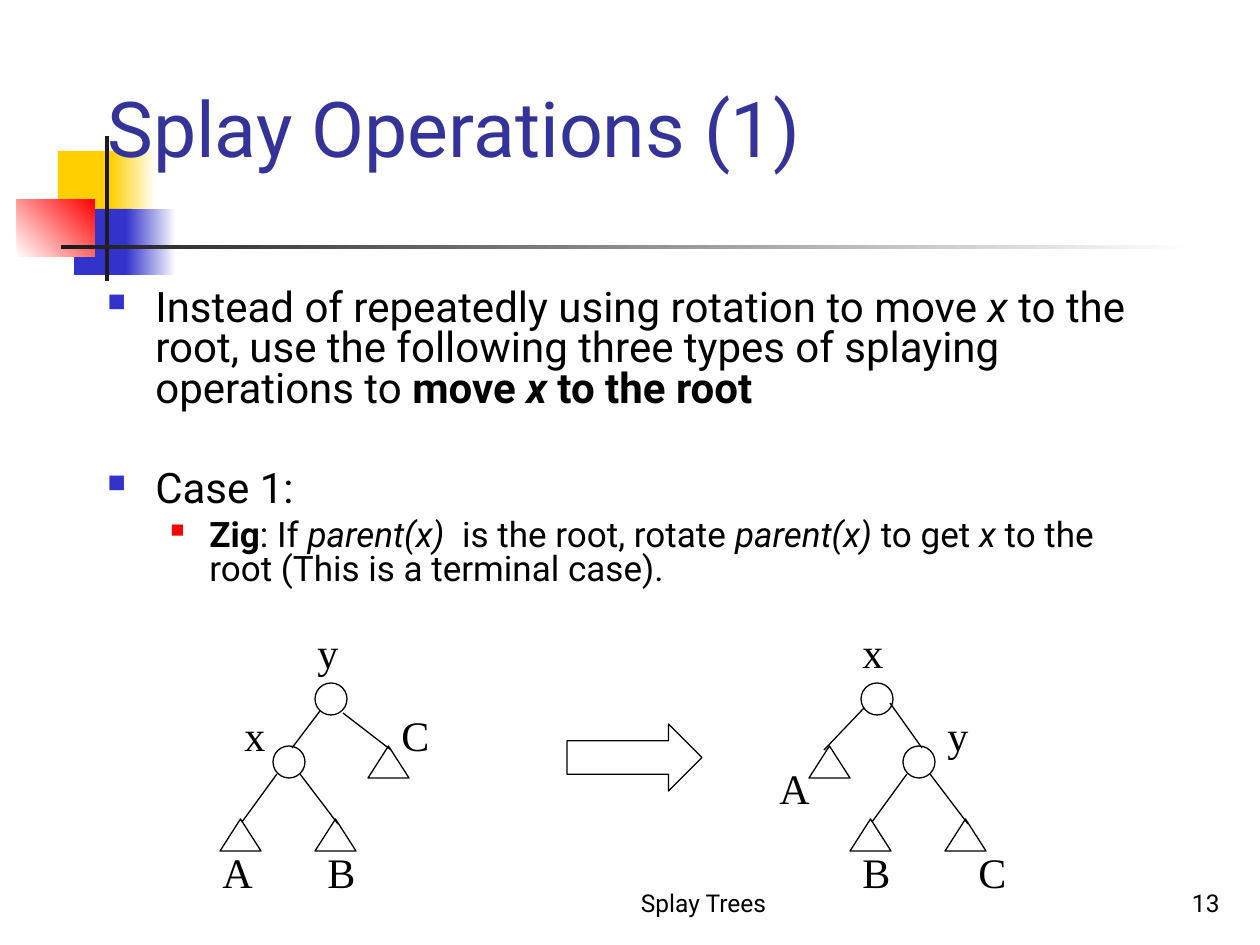
from dataclasses import dataclass

import pptx
import pptx.dml.color
import pptx.enum.shapes
import pptx.enum.text
import pptx.oxml.ns
import pptx.util
from lxml import etree

EMU_PER_PX = 914400 / 126
SHAPE = pptx.enum.shapes.MSO_SHAPE
ALIGN = pptx.enum.text.PP_ALIGN
ANCHOR = pptx.enum.text.MSO_ANCHOR


@dataclass(frozen=True)
class Theme:
    ink: str = "000000"
    title: str = "333399"
    yellow: str = "FFCF01"
    blue: str = "3333CC"
    red: str = "FF0000"
    bar: str = "1C1C1C"
    white: str = "FFFFFF"
    sans: str = "Roboto"
    serif: str = "Times New Roman"
    title_size: int = 44
    body_size: int = 24
    detail_size: int = 20
    label_size: int = 24
    footer_size: int = 14
    outline: float = 0.75


THEME = Theme()


def px(length):
    return pptx.util.Emu(round(length * EMU_PER_PX))


def rgb(color):
    return pptx.dml.color.RGBColor.from_string(color)


def add_block(slide, box, colors, angle=0):
    """Borderless rectangle: one colour is solid, two make a gradient."""
    block = slide.shapes.add_shape(SHAPE.RECTANGLE, *map(px, box))
    block.shadow.inherit = False
    block.line.fill.background()
    if len(colors) == 1:
        block.fill.solid()
        block.fill.fore_color.rgb = rgb(colors[0])
        return
    block.fill.gradient()
    block.fill.gradient_angle = angle
    for stop, color in zip(block.fill.gradient_stops, colors):
        stop.color.rgb = rgb(color)


def add_outline(slide, preset, box):
    outline = slide.shapes.add_shape(preset, *map(px, box))
    outline.shadow.inherit = False
    outline.fill.background()
    outline.line.color.rgb = rgb(THEME.ink)
    outline.line.width = pptx.util.Pt(THEME.outline)


def add_node(slide, left, top):
    add_outline(slide, SHAPE.OVAL, (left, top, 32, 32))


def add_leaf(slide, left, top):
    add_outline(slide, SHAPE.ISOSCELES_TRIANGLE, (left, top, 41, 32))


def add_edge(slide, *ends):
    edge = slide.shapes.add_connector(
        pptx.enum.shapes.MSO_CONNECTOR.STRAIGHT, *map(px, ends))
    edge.line.color.rgb = rgb(THEME.ink)
    edge.line.width = pptx.util.Pt(THEME.outline)
    etree.SubElement(edge._element.spPr, pptx.oxml.ns.qn("a:effectLst"))


def add_frame(slide, box, anchor=ANCHOR.TOP, wrap=True):
    frame = slide.shapes.add_textbox(*map(px, box)).text_frame
    frame.word_wrap = wrap
    frame.vertical_anchor = anchor
    return frame


def add_run(paragraph, text, size, style="", font=THEME.sans, color=THEME.ink):
    """Style holds any of the letters b (bold) and i (italic)."""
    run = paragraph.add_run()
    run.text = text
    run.font.name = font
    run.font.size = pptx.util.Pt(size)
    run.font.color.rgb = rgb(color)
    run.font.bold = "b" in style
    run.font.italic = "i" in style


def add_line_of_text(slide, box, text, size, align=ALIGN.LEFT, color=THEME.ink):
    paragraph = add_frame(slide, box, ANCHOR.BOTTOM).paragraphs[0]
    paragraph.alignment = align
    add_run(paragraph, text, size, color=color)


def add_label(slide, letter, left, top):
    width = {"A": 56, "B": 53, "C": 53, "x": 46, "y": 46}[letter]
    frame = add_frame(slide, (left, top, width, 63), wrap=False)
    frame.auto_size = pptx.enum.text.MSO_AUTO_SIZE.SHAPE_TO_FIT_TEXT
    add_run(frame.paragraphs[0], letter, THEME.label_size, font=THEME.serif)


def set_bullet(paragraph, color, percent, margin, hanging):
    properties = paragraph._p.get_or_add_pPr()
    properties.set("marL", str(px(margin)))
    properties.set("indent", str(-px(hanging)))
    qn = pptx.oxml.ns.qn
    bullet_color = etree.SubElement(properties, qn("a:buClr"))
    etree.SubElement(bullet_color, qn("a:srgbClr"), val=color)
    etree.SubElement(properties, qn("a:buSzPct"), val=str(percent * 1000))
    etree.SubElement(properties, qn("a:buChar"), char="■")


def add_point(paragraph, runs, level=0, space_before=0):
    if level:
        set_bullet(paragraph, THEME.red, 55, 102, 39)
    else:
        set_bullet(paragraph, THEME.blue, 60, 48, 48)
    paragraph.level = level
    paragraph.line_spacing = 0.8
    paragraph.space_before = pptx.util.Pt(space_before)
    size = THEME.detail_size if level else THEME.body_size
    for text, style in runs:
        add_run(paragraph, text, size, style)


def add_decoration(slide):
    add_block(slide, (58, 151, 60, 66), [THEME.yellow])
    add_block(slide, (111, 151, 45, 66), [THEME.yellow, THEME.white])
    add_block(slide, (74, 209, 58, 66), [THEME.blue])
    add_block(slide, (126, 209, 50, 66), [THEME.blue, THEME.white])
    add_block(slide, (17, 199, 78, 58), [THEME.white, THEME.red], 45)
    add_block(slide, (105, 136, 4, 145), [THEME.bar])
    add_block(slide, (61, 245, 1134, 4), [THEME.bar, THEME.white])


def add_body(slide):
    frame = add_frame(slide, (95, 284, 1071, 315))
    add_point(frame.paragraphs[0], [
        ("Instead of repeatedly using rotation to move ", ""), ("x", "i"),
        (" to the root, use the following three types of splaying operations to ", ""),
        ("move ", "b"), ("x", "bi"), (" to the root", "b")])
    add_point(frame.add_paragraph(), [("Case 1:", "")], space_before=34.5)
    add_point(frame.add_paragraph(), [
        ("Zig", "b"), (": If ", ""), ("parent(x)", "i"),
        ("  is the root, rotate ", ""), ("parent(x)", "i"), (" to get ", ""),
        ("x", "i"), (" to the root (This is a terminal case).", "")],
        level=1, space_before=5)


def add_tree(slide, subtree_left, root_left, leaf_left, edges, labels):
    """Root with one leaf and one subtree, which has two leaves of its own."""
    left = subtree_left
    add_node(slide, root_left, 683)
    add_node(slide, left + 53, 746)
    add_leaf(slide, left, 819)
    add_leaf(slide, left + 95, 819)
    add_leaf(slide, leaf_left, 746)
    lower_edges = [(left + 57, 774, left + 22, 822),
                   (left + 80, 774, left + 118, 824)]
    for edge in edges + lower_edges:
        add_edge(slide, *edge)
    for letter, label_left, label_top in labels:
        add_label(slide, letter, label_left, label_top)


def main():
    deck = pptx.Presentation()
    deck.slide_width, deck.slide_height = px(1260), px(945)
    slide = deck.slides.add_slide(deck.slide_layouts[6])

    # Corner decoration, footer, title and text
    add_decoration(slide)
    add_line_of_text(slide, (504, 861, 399, 63), "Splay Trees",
                     THEME.footer_size, ALIGN.CENTER)
    add_line_of_text(slide, (970, 861, 262, 63), "13",
                     THEME.footer_size, ALIGN.RIGHT)
    add_line_of_text(slide, (95, 21, 1071, 158), "Splay Operations (1)",
                     THEME.title_size, color=THEME.title)
    add_body(slide)

    # Tree before the rotation
    add_tree(slide, 220, 315, 368,
             [(320, 711, 292, 748), (343, 713, 391, 750)],
             [("A", 210, 840), ("B", 315, 840), ("C", 389, 703),
              ("y", 305, 620), ("x", 232, 703)])
    # Tree after the rotation
    add_tree(slide, 850, 861, 809,
             [(890, 703, 922, 748), (864, 708, 824, 750)],
             [("A", 767, 756), ("B", 850, 840), ("C", 966, 840),
              ("y", 935, 703), ("x", 850, 620)])
    # Rotation arrow
    add_outline(slide, SHAPE.RIGHT_ARROW, (567, 724, 135, 67))

    deck.save("out.pptx")


if __name__ == "__main__":
    main()
